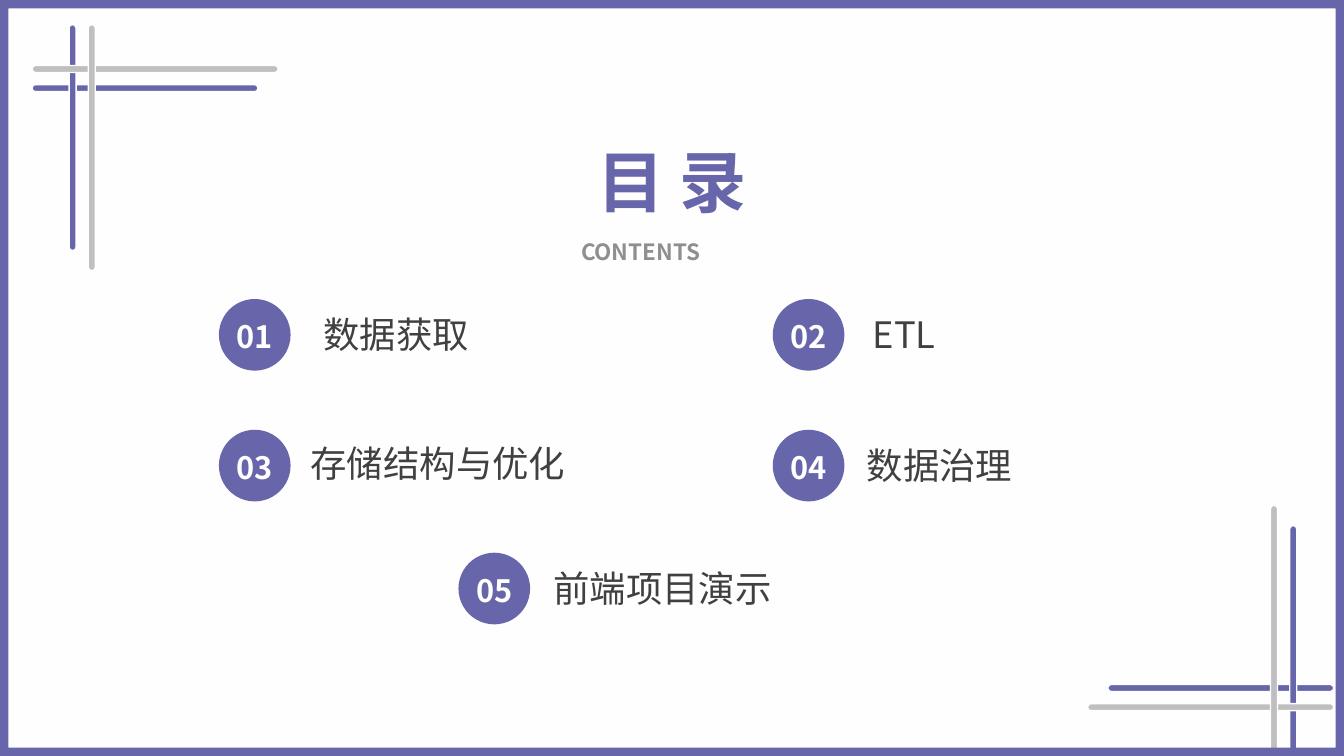
from lxml.etree import SubElement
from pptx import Presentation
from pptx.dml.color import RGBColor
from pptx.enum.shapes import MSO_SHAPE
from pptx.enum.text import MSO_ANCHOR, PP_ALIGN
from pptx.oxml.ns import qn
from pptx.util import Pt

COLORS = {
    "paper": "FEFEFE",
    "purple": "6866AB",
    "silver": "BFBFBF",
    "subtitle": "8F8F8F",
    "label": "404040",
    "white": "FFFFFF",
}
FONT = "Noto Sans CJK JP"


def write(frame, text, size, color, bold=False, align=PP_ALIGN.LEFT):
    frame.word_wrap = True
    paragraph = frame.paragraphs[0]
    paragraph.alignment = align
    run = paragraph.add_run()
    run.text = text
    run.font.size = Pt(size)
    run.font.bold = bold
    run.font.name = FONT
    run.font.color.rgb = RGBColor.from_string(COLORS[color])
    SubElement(run.font._element, qn("a:ea"), typeface=FONT)


def add_filled(preset, left, top, width, height, color):
    shape = slide.shapes.add_shape(preset, Pt(left), Pt(top), Pt(width), Pt(height))
    shape.shadow.inherit = False
    shape.fill.solid()
    shape.fill.fore_color.rgb = RGBColor.from_string(COLORS[color])
    shape.line.fill.background()
    return shape


deck = Presentation()
deck.slide_width, deck.slide_height = Pt(960), Pt(540)
slide = deck.slides.add_slide(deck.slide_layouts[6])
slide.background.fill.solid()
slide.background.fill.fore_color.rgb = RGBColor.from_string(COLORS["paper"])

BAR_THICKNESS = 5
corner_bars = [
    (23, 60.5, 161.3, 0, "purple"),
    (-28.8, 95.8, 161.3, 90, "purple"),
    (23, 46.8, 175.7, 0, "silver"),
    (-22.3, 103, 175.7, 90, "silver"),
]
for turn in (0, 180):
    for left, top, length, angle, color in corner_bars:
        if turn:
            left = 975.6 - left - length
            top = 554.4 - top - BAR_THICKNESS
        bar = add_filled(MSO_SHAPE.ROUNDED_RECTANGLE, left, top, length, BAR_THICKNESS, color)
        bar.adjustments[0] = 0.5
        bar.rotation = angle + turn
        bar.line.color.rgb = RGBColor.from_string(COLORS["paper"])
        bar.line.width = Pt(1)

border = add_filled(MSO_SHAPE.FRAME, 0, 0, 960, 540, "purple")
border.adjustments[0] = 0.011

title = slide.shapes.add_textbox(Pt(408), Pt(96.5), Pt(144), Pt(65.5))
write(title.text_frame, "目 录", 48, "purple", bold=True, align=PP_ALIGN.CENTER)
subtitle = slide.shapes.add_textbox(Pt(408), Pt(166.3), Pt(144), Pt(26.6))
write(subtitle.text_frame, "CONTENTS", 16, "subtitle", bold=True, align=PP_ALIGN.JUSTIFY)

DISC = 51.2
chapters = [
    ("数据获取", 156.4, 213.6, 223.9, 219.6, 207.4),
    ("ETL", 552, 213.6, 616.3, 219.6, 207.4),
    ("存储结构与优化", 156.4, 307, 214.6, 311.8, 207.4),
    ("数据治理", 552, 307, 612, 313.2, 275),
    ("前端项目演示", 327.5, 394.8, 388.1, 401, 275),
]
for number, chapter in enumerate(chapters, 1):
    name, disc_left, disc_top, label_left, label_top, label_width = chapter
    label = slide.shapes.add_textbox(Pt(label_left), Pt(label_top), Pt(label_width), Pt(38.9))
    write(label.text_frame, name, 26, "label")

    disc = add_filled(MSO_SHAPE.OVAL, disc_left, disc_top, DISC, DISC, "purple")
    badge = disc.text_frame
    badge.margin_left = badge.margin_right = badge.margin_bottom = 0
    badge.margin_top = Pt(2)
    badge.vertical_anchor = MSO_ANCHOR.MIDDLE
    write(badge, f"{number:02d}", 22, "white", bold=True, align=PP_ALIGN.CENTER)

deck.save("out.pptx")
